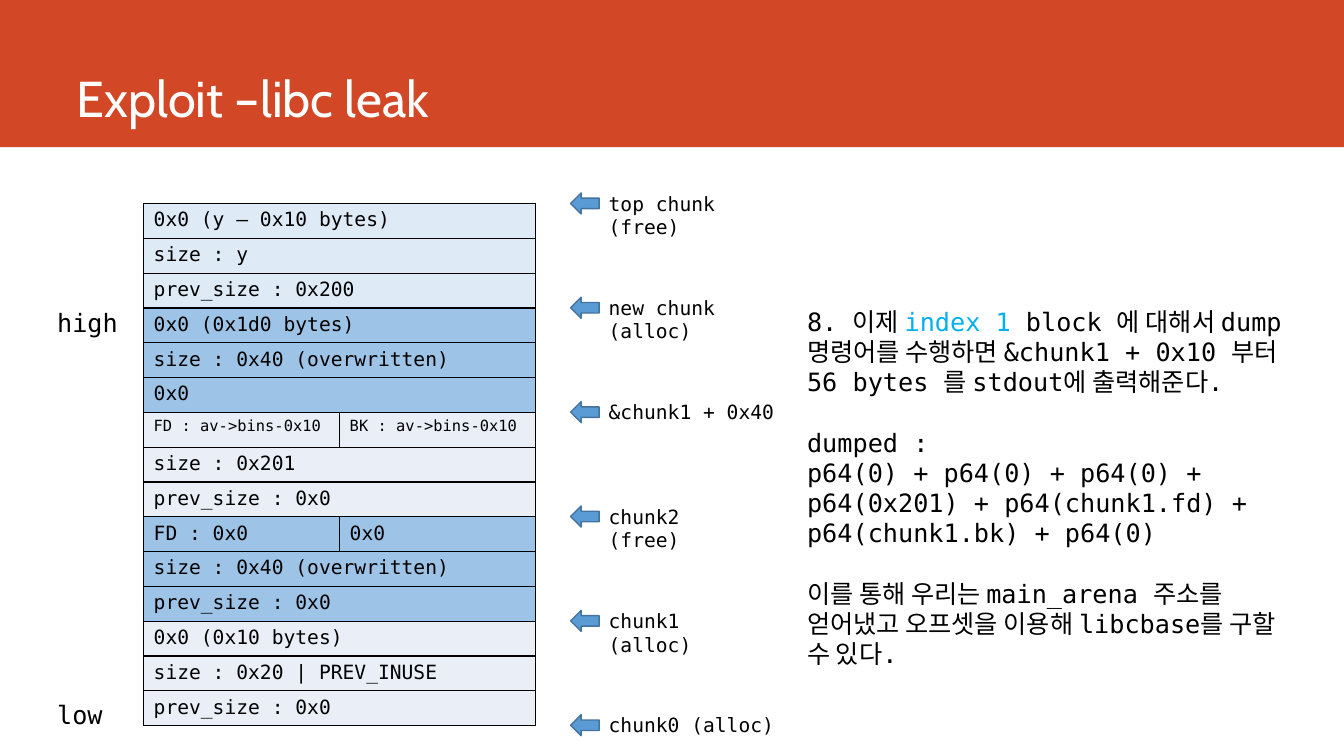
from lxml import etree
from pptx import Presentation
from pptx.dml.color import RGBColor
from pptx.enum import shapes, text
from pptx.oxml import ns
from pptx.util import Cm, Pt

COLORS = {"band": "D24726", "white": "FFFFFF", "black": "000000", "index": "00B0F0",
          "top": "DEEBF7", "alloc": "9DC3E6", "free": "EAEFF7",
          "arrow": "5B9BD5", "edge": "43739E"}
MONO = "DejaVu Sans Mono"


def write(frame, paras, size, font=MONO, color="black", gap=0):
    """Fill a frame; each paragraph is a list of (text, color or None) runs."""
    for i, runs in enumerate(paras):
        para = frame.paragraphs[0] if i == 0 else frame.add_paragraph()
        para.alignment = text.PP_ALIGN.LEFT
        if gap and i in (1, 3):
            para.space_before = Pt(gap)
        for words, tint in runs:
            run = para.add_run()
            run.text = words
            for name, value in {"size": Pt(size), "name": font}.items():
                setattr(run.font, name, value)
            run.font.color.rgb = RGBColor.from_string(COLORS[tint or color])


def add_text(parent, box, paras, size, gap=0):
    frame = parent.add_textbox(*map(Cm, box)).text_frame
    frame.word_wrap = True
    frame.auto_size = text.MSO_AUTO_SIZE.SHAPE_TO_FIT_TEXT
    write(frame, paras, size, gap=gap)


deck = Presentation()
deck.slide_width, deck.slide_height = Cm(33.87), Cm(19.05)
slide = deck.slides.add_slide(deck.slide_layouts[5])

# Title on its band
title = slide.shapes.title
band = slide.shapes.add_shape(shapes.MSO_SHAPE.RECTANGLE, 0, 0, deck.slide_width, Cm(3.71))
band.shadow.inherit = False
band.fill.solid()
band.fill.fore_color.rgb = RGBColor.from_string(COLORS["band"])
band.line.fill.background()
title.element.addprevious(band.element)
place = {"left": Cm(1.68), "top": Cm(0), "width": Cm(29.87), "height": Cm(3.35)}
for name, value in place.items():
    setattr(title, name, value)
title.text_frame.vertical_anchor = text.MSO_ANCHOR.BOTTOM
write(title.text_frame, [[("Exploit –libc leak", None)]], 36, "Cabin", "white")

# Address ends
for word, top in (("high", 7.62), ("low", 17.5)):
    add_text(slide.shapes, (1.19, top, 2.21, 1.02), [[(word, None)]], 18)

# Heap memory, from high to low addresses
MEMORY = [
    ("top", 14, ["0x0 (y – 0x10 bytes)"]),
    ("top", 14, ["size : y"]),
    ("top", 14, ["prev_size : 0x200"]),
    ("alloc", 14, ["0x0 (0x1d0 bytes)"]),
    ("alloc", 14, ["size : 0x40 (overwritten)"]),
    ("alloc", 14, ["0x0"]),
    ("free", 11, ["FD : av->bins-0x10", "BK : av->bins-0x10"]),
    ("free", 14, ["size : 0x201"]),
    ("free", 14, ["prev_size : 0x0"]),
    ("alloc", 14, ["FD : 0x0", "0x0"]),
    ("alloc", 14, ["size : 0x40 (overwritten)"]),
    ("alloc", 14, ["prev_size : 0x0"]),
    ("free", 14, ["0x0 (0x10 bytes)"]),
    ("free", 14, ["size : 0x20 | PREV_INUSE"]),
    ("free", 14, ["prev_size : 0x0"]),
]
heap = slide.shapes.add_table(len(MEMORY), 2, Cm(3.62), Cm(5.13), Cm(9.88), Cm(13.16)).table
heap.first_row = heap.horz_banding = False
for r, (fill, size, words) in enumerate(MEMORY):
    if len(words) == 1:
        heap.cell(r, 0).merge(heap.cell(r, 1))
    for c in range(2):
        cell = heap.cell(r, c)
        if c < len(words):
            write(cell.text_frame, [[(words[c], None)]], size)
        props = cell._tc.get_or_add_tcPr()
        for side in ("a:lnL", "a:lnR", "a:lnT", "a:lnB"):
            line = etree.SubElement(props, ns.qn(side), w=str(Pt(1)))
            solid = etree.SubElement(line, ns.qn("a:solidFill"))
            etree.SubElement(solid, ns.qn("a:srgbClr"), val=COLORS["black"])
        cell.fill.solid()
        cell.fill.fore_color.rgb = RGBColor.from_string(COLORS[fill])

# Chunk pointers at an equal step
CHUNKS = [
    (3.4, ["top chunk", "(free)"]),
    (3.4, ["new chunk", "(alloc)"]),
    (4.72, ["&chunk1 + 0x40"]),
    (2.92, ["chunk2", "(free)"]),
    (2.92, ["chunk1", "(alloc)"]),
    (4.72, ["chunk0 (alloc)"]),
]
for i, (width, lines) in enumerate(CHUNKS):
    top = 4.86 + 2.63 * i
    group = slide.shapes.add_group_shape().shapes
    arrow = group.add_shape(shapes.MSO_SHAPE.RIGHT_ARROW,
                            Cm(14.38), Cm(top), Cm(0.72), Cm(0.53))
    arrow.rotation = 180
    arrow.shadow.inherit = False
    arrow.fill.solid()
    arrow.fill.fore_color.rgb = RGBColor.from_string(COLORS["arrow"])
    arrow.line.color.rgb = RGBColor.from_string(COLORS["edge"])
    arrow.line.width = Pt(1)
    add_text(group, (15.09, top - 0.16, width, 0.6 * len(lines) + 0.26),
             [[(line, None)] for line in lines], 14)

# Explanation
NOTES = [
    [("8. 이제 ", None), ("index 1 ", "index"),
     ("block 에 대해서 dump 명령어를 수행하면 &chunk1 + 0x10 부터 "
      "56 bytes 를 stdout에 출력해준다.", None)],
    [("dumped :", None)],
    [("p64(0) + p64(0) + p64(0) + p64(0x201) + p64(chunk1.fd) + "
      "p64(chunk1.bk) + p64(0)", None)],
    [("이를 통해 우리는 main_arena 주소를 얻어냈고 오프셋을 이용해 "
      "libcbase를 구할 수 있다.", None)],
]
add_text(slide.shapes, (20.09, 7.59, 12.57, 10.26), NOTES, 18, gap=21.5)

deck.save("out.pptx")
